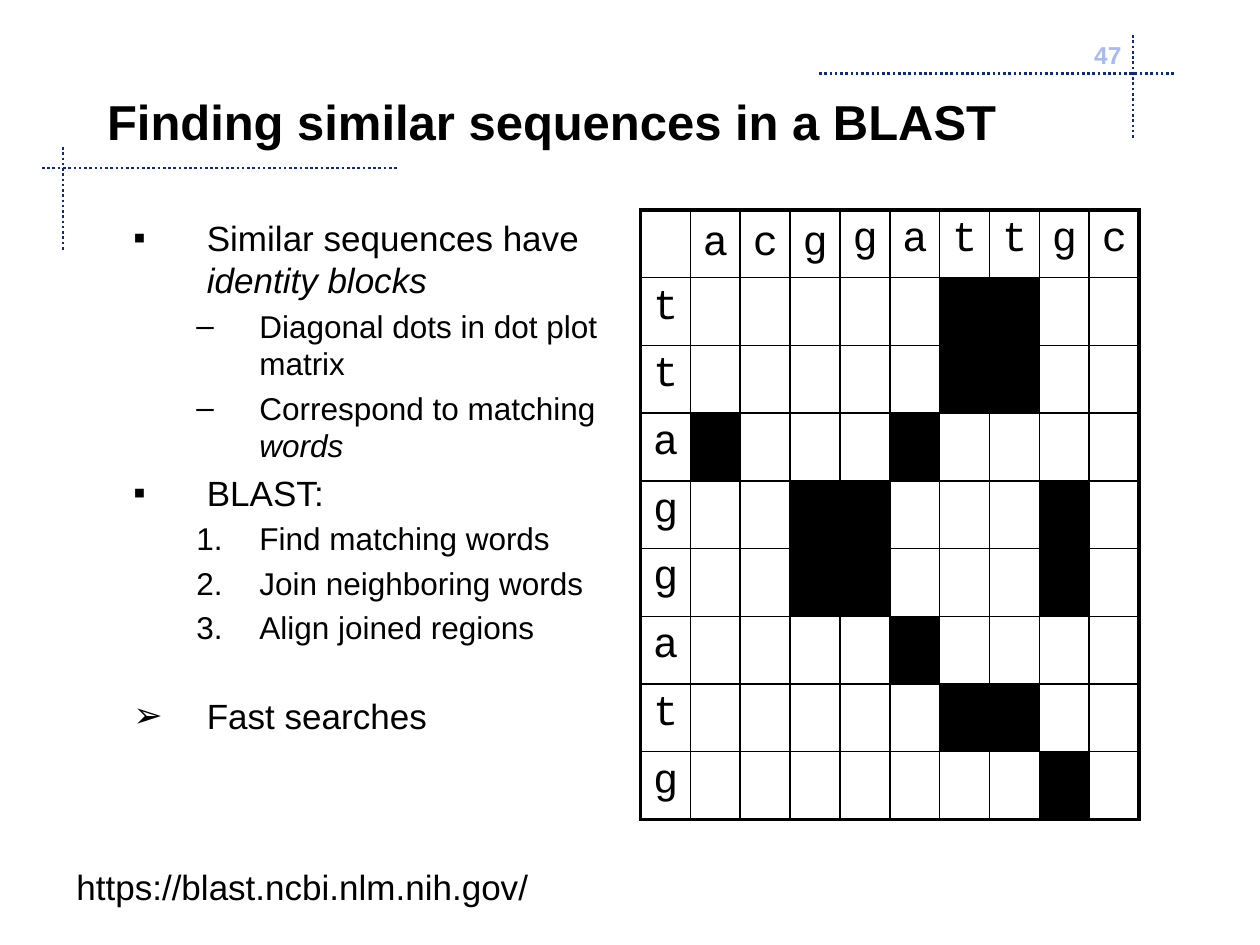
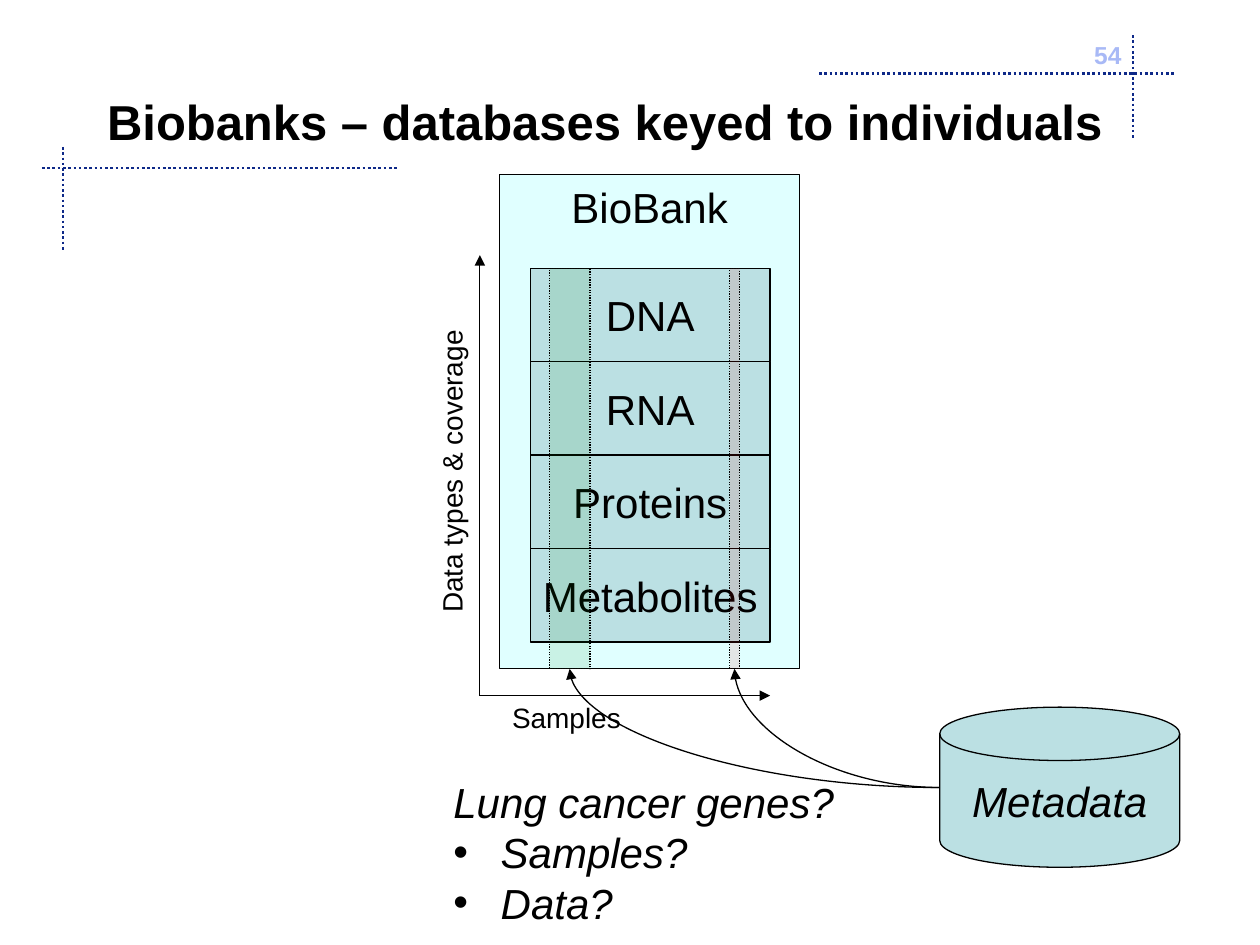
from dataclasses import dataclass
from typing import Optional

from lxml import etree
from pptx import Presentation
from pptx.dml.color import RGBColor
from pptx.enum.dml import MSO_LINE
from pptx.enum.shapes import MSO_CONNECTOR, MSO_SHAPE
from pptx.enum.text import MSO_ANCHOR, MSO_AUTO_SIZE, PP_ALIGN
from pptx.oxml.ns import qn
from pptx.util import Emu, Pt

STRAIGHT, CURVE = MSO_CONNECTOR.STRAIGHT, MSO_CONNECTOR.CURVE
RECT, DISK = MSO_SHAPE.RECTANGLE, MSO_SHAPE.FLOWCHART_MAGNETIC_DISK
DOTTED = MSO_LINE.ROUND_DOT
TOP, MIDDLE = MSO_ANCHOR.TOP, MSO_ANCHOR.MIDDLE
LEFT, CENTER, RIGHT = PP_ALIGN.LEFT, PP_ALIGN.CENTER, PP_ALIGN.RIGHT
FIT_SHAPE, NO_FIT = MSO_AUTO_SIZE.SHAPE_TO_FIT_TEXT, MSO_AUTO_SIZE.NONE
CONTENT_LAYOUT, TITLE_LAYOUT = 1, 5
EMU_PER_PX = 3810  # 240 px to the inch


@dataclass(frozen=True)
class Theme:
    font: str = "Arial"
    mono: str = "Courier New"
    ink: str = "000000"
    rule: str = "0E2988"
    number: str = "A8B9F6"
    bank: str = "E0FFFF"
    store: str = "BBE0E3"
    cohort: str = "008000"
    patient: str = "FF0000"
    title: int = 28
    large: int = 24
    body: int = 20
    sub: int = 18
    axis: int = 16
    page: int = 14
    hairline: float = 0.75
    grid: float = 1
    dotted: float = 1.5
    frame: float = 2.25


THEME = Theme()


@dataclass(frozen=True)
class Box:
    left: int
    top: int
    width: int
    height: int

    def emu(self) -> list[Emu]:
        return [px(n) for n in (self.left, self.top, self.width, self.height)]


@dataclass(frozen=True)
class Line:
    x1: int
    y1: int
    x2: int
    y2: int


@dataclass(frozen=True)
class Item:
    text: str
    bullet: str
    level: int = 0
    emphasis: str = ""
    before: float = 4


@dataclass(frozen=True)
class Block:
    box: Box
    fill: str
    text: str = ""
    kind: int = RECT
    anchor: int = MIDDLE
    italic: bool = False
    alpha: Optional[int] = None


CROSSHAIRS = [Line(80, 320, 760, 320), Line(120, 280, 120, 480),
              Line(2158, 67, 2158, 266), Line(1560, 140, 2240, 140)]
LEVEL_INDENT = [(140, -140), (240, -120)]

BLAST_ITEMS = [
    Item("Similar sequences have ", "▪", emphasis="identity blocks", before=0),
    Item("Diagonal dots in dot plot matrix", "–", 1, before=3.6),
    Item("Correspond to matching ", "–", 1, "words", 3.6),
    Item("BLAST:", "▪"),
    Item("Find matching words", "1.", 1, before=3.6),
    Item("Join neighboring words", "1.", 1, before=3.6),
    Item("Align joined regions", "1.", 1, before=3.6),
    Item("Fast searches", "➢", before=28),
]

# Dot plot: bases across, then each base down with the columns it marks
QUERY = "acggattgc"
MATCHES = [("t", (6, 7)), ("t", (6, 7)), ("a", (1, 5)), ("g", (3, 4, 8)),
           ("g", (3, 4, 8)), ("a", (5,)), ("t", (6, 7)), ("g", (8,))]
CENTERED_BASES = 3
COLUMN, ROW = 95, 129

BANK = Box(952, 333, 571, 941)
BANK_BOTTOM = BANK.top + BANK.height
LAYERS = ["DNA", "RNA", "Proteins", "Metabolites"]
LAYER_LEFT, LAYER_TOP, LAYER_WIDTH, LAYER_HEIGHT = 1010, 511, 457, 178
METADATA = Box(1790, 1347, 457, 305)
AXES = [Line(914, 1325, 1467, 1325), Line(914, 1325, 914, 486)]
SAMPLE_SLICES = [(1390, 19, THEME.patient), (1047, 77, THEME.cohort)]


def px(n: int) -> Emu:
    return Emu(n * EMU_PER_PX)


def add_xml(parent, tag: str, **attributes: str):
    return etree.SubElement(parent, qn(tag), attributes)


def style_runs(paragraph, size: int, color: str = THEME.ink, bold: bool = False,
               italic: bool = False, font: str = THEME.font) -> None:
    for run in paragraph.runs:
        run.font.name, run.font.size = font, Pt(size)
        run.font.bold, run.font.italic = bold, italic
        run.font.color.rgb = RGBColor.from_string(color)


def set_bullet(paragraph, bullet: str, margin: int, indent: int) -> None:
    props = paragraph._p.get_or_add_pPr()
    props.set("marL", str(px(margin)))
    props.set("indent", str(px(indent)))
    if not bullet:
        add_xml(props, "a:buNone")
        return
    add_xml(props, "a:buFont", typeface=THEME.font)
    if bullet == "1.":
        add_xml(props, "a:buAutoNum", type="arabicPeriod")
    else:
        add_xml(props, "a:buChar", char=bullet)


def add_label(slide, box: Box, text: str, size: int, color: str = THEME.ink,
              bold: bool = False, align: int = LEFT, rotation: int = 0,
              wrap: bool = False) -> None:
    label = slide.shapes.add_textbox(*box.emu())
    label.rotation = rotation
    frame = label.text_frame
    frame.text = text
    frame.word_wrap = wrap
    frame.auto_size = NO_FIT if wrap else FIT_SHAPE
    frame.paragraphs[0].alignment = align
    style_runs(frame.paragraphs[0], size, color, bold)


def add_line(slide, line: Line, color: str = THEME.ink, width: float = THEME.hairline,
             dotted: bool = False, arrow: bool = False, kind: int = STRAIGHT):
    connector = slide.shapes.add_connector(
        kind, px(line.x1), px(line.y1), px(line.x2), px(line.y2))
    connector.line.color.rgb = RGBColor.from_string(color)
    connector.line.width = Pt(width)
    if dotted:
        connector.line.dash_style = DOTTED
    if arrow:
        add_xml(connector.line._get_or_add_ln(), "a:tailEnd", type="triangle")
    add_xml(connector._element.spPr, "a:effectLst")
    return connector


def add_curve_up(slide, line: Line) -> None:
    """Quarter curve leaving the lower right end and arriving from below."""
    curve = add_line(slide, line, arrow=True, kind=CURVE)
    props = curve._element.spPr
    props.find(qn("a:prstGeom")).set("prst", "curvedConnector2")
    props.find(qn("a:xfrm")).set("rot", "10800000")


def add_block(slide, block: Block) -> None:
    shape = slide.shapes.add_shape(block.kind, *block.box.emu())
    shape.shadow.inherit = False
    shape.fill.solid()
    shape.fill.fore_color.rgb = RGBColor.from_string(block.fill)
    shape.line.color.rgb = RGBColor.from_string(THEME.ink)
    shape.line.width = Pt(THEME.hairline)
    if block.alpha is not None:
        color = shape._element.spPr.find(qn("a:solidFill"))[0]
        add_xml(color, "a:alpha", val=str(block.alpha * 1000))
        shape.line.dash_style = DOTTED
    if block.text:
        frame = shape.text_frame
        frame.text = block.text
        frame.word_wrap = False
        frame.vertical_anchor = block.anchor
        frame.paragraphs[0].alignment = CENTER
        style_runs(frame.paragraphs[0], THEME.large, italic=block.italic)


def start_slide(deck, layout: int, heading: str, title_width: int, number: str):
    slide = deck.slides.add_slide(deck.slide_layouts[layout])
    for line in CROSSHAIRS:
        add_line(slide, line, THEME.rule, THEME.dotted, dotted=True)
    add_label(slide, Box(1660, 65, 500, 120), number, THEME.page, THEME.number,
              bold=True, align=RIGHT, wrap=True)
    title = slide.shapes.title
    title.left, title.top, title.width, title.height = Box(180, 80, title_width, 300).emu()
    frame = title.text_frame
    frame.text = heading
    frame.auto_size = NO_FIT
    frame.vertical_anchor = MIDDLE
    frame.paragraphs[0].alignment = LEFT
    style_runs(frame.paragraphs[0], THEME.title, bold=True)
    return slide


def fill_body(body, items: list[Item]) -> None:
    body.left, body.top, body.width, body.height = Box(230, 400, 950, 1300).emu()
    frame = body.text_frame
    frame.text = "\n".join(item.text for item in items)
    frame.auto_size = NO_FIT
    for paragraph, item in zip(frame.paragraphs, items):
        paragraph.level = item.level
        paragraph.space_before = Pt(item.before)
        set_bullet(paragraph, item.bullet, *LEVEL_INDENT[item.level])
        if item.emphasis:
            paragraph.add_run().text = item.emphasis
        style_runs(paragraph, THEME.sub if item.level else THEME.body)
        if item.emphasis:
            paragraph.runs[-1].font.italic = True


def set_borders(cell, outer_sides: dict[str, bool]) -> None:
    props = cell._tc.get_or_add_tcPr()
    for position, (side, outer) in enumerate(outer_sides.items()):
        width = Pt(THEME.frame if outer else THEME.grid)
        border = etree.Element(qn(f"a:ln{side}"), w=str(width))
        add_xml(add_xml(border, "a:solidFill"), "a:srgbClr", val=THEME.ink)
        props.insert(position, border)


def add_dot_plot(slide) -> None:
    rows, columns = len(MATCHES) + 1, len(QUERY) + 1
    area = Box(1220, 400, columns * COLUMN, rows * ROW)
    plot = slide.shapes.add_table(rows, columns, *area.emu()).table
    plot.first_row = plot.horz_banding = False
    for column in plot.columns:
        column.width = px(COLUMN)
    grid = [(" " + QUERY, ())] + MATCHES
    for r, (bases, marked) in enumerate(grid):
        plot.rows[r].height = px(ROW)
        for c in range(columns):
            cell = plot.cell(r, c)
            if c in marked:
                cell.fill.solid()
                cell.fill.fore_color.rgb = RGBColor.from_string(THEME.ink)
            else:
                cell.fill.background()
            set_borders(cell, {"L": c == 0, "R": c == columns - 1,
                               "T": r == 0, "B": r == rows - 1})
            if c < len(bases) and bases[c] != " ":
                cell.text_frame.text = bases[c]
                centered = r == 0 and c <= CENTERED_BASES
                cell.vertical_anchor = MIDDLE if centered else TOP
                style_runs(cell.text_frame.paragraphs[0], THEME.large, font=THEME.mono)


def add_questions(slide) -> None:
    questions = slide.shapes.add_textbox(*Box(840, 1467, 800, 338).emu())
    frame = questions.text_frame
    frame.word_wrap = True
    frame.text = "Lung cancer genes?\nSamples?\nData?"
    for paragraph, bullet in zip(frame.paragraphs, ("", "•", "•")):
        set_bullet(paragraph, bullet, 90, -90)
        style_runs(paragraph, THEME.large, italic=True)


def build_blast(deck) -> None:
    slide = start_slide(deck, CONTENT_LAYOUT, "Finding similar sequences in a BLAST", 1940, "47")
    fill_body(slide.placeholders[1], BLAST_ITEMS)
    add_dot_plot(slide)
    add_label(slide, Box(122, 1637, 914, 106), "https://blast.ncbi.nlm.nih.gov/", THEME.body)


def build_biobank(deck) -> None:
    slide = start_slide(deck, TITLE_LAYOUT, "Biobanks – databases keyed to individuals", 2020, "54")
    # Bank with its stacked data layers
    add_block(slide, Block(BANK, THEME.bank, "BioBank", anchor=TOP))
    for i, layer in enumerate(LAYERS):
        box = Box(LAYER_LEFT, LAYER_TOP + i * LAYER_HEIGHT, LAYER_WIDTH, LAYER_HEIGHT)
        add_block(slide, Block(box, THEME.store, layer))
    add_questions(slide)
    # Axes and their labels
    for axis in AXES:
        add_line(slide, axis, arrow=True)
    add_label(slide, Box(952, 1322, 257, 89), "Samples", THEME.axis)
    add_label(slide, Box(564, 850, 593, 89), "Data types & coverage", THEME.axis, rotation=270)
    # Metadata pointing at slices of samples
    add_block(slide, Block(METADATA, THEME.store, "Metadata", DISK, italic=True))
    for left, width, color in SAMPLE_SLICES:
        box = Box(left, LAYER_TOP, width, BANK_BOTTOM - LAYER_TOP)
        add_block(slide, Block(box, color, alpha=10))
    for left, width, _ in SAMPLE_SLICES:
        add_curve_up(slide, Line(left + width // 2, BANK_BOTTOM, METADATA.left, 1500))


def main() -> None:
    deck = Presentation()
    deck.slide_width, deck.slide_height = px(2400), px(1800)
    build_blast(deck)
    build_biobank(deck)
    deck.save("out.pptx")


if __name__ == "__main__":
    main()
